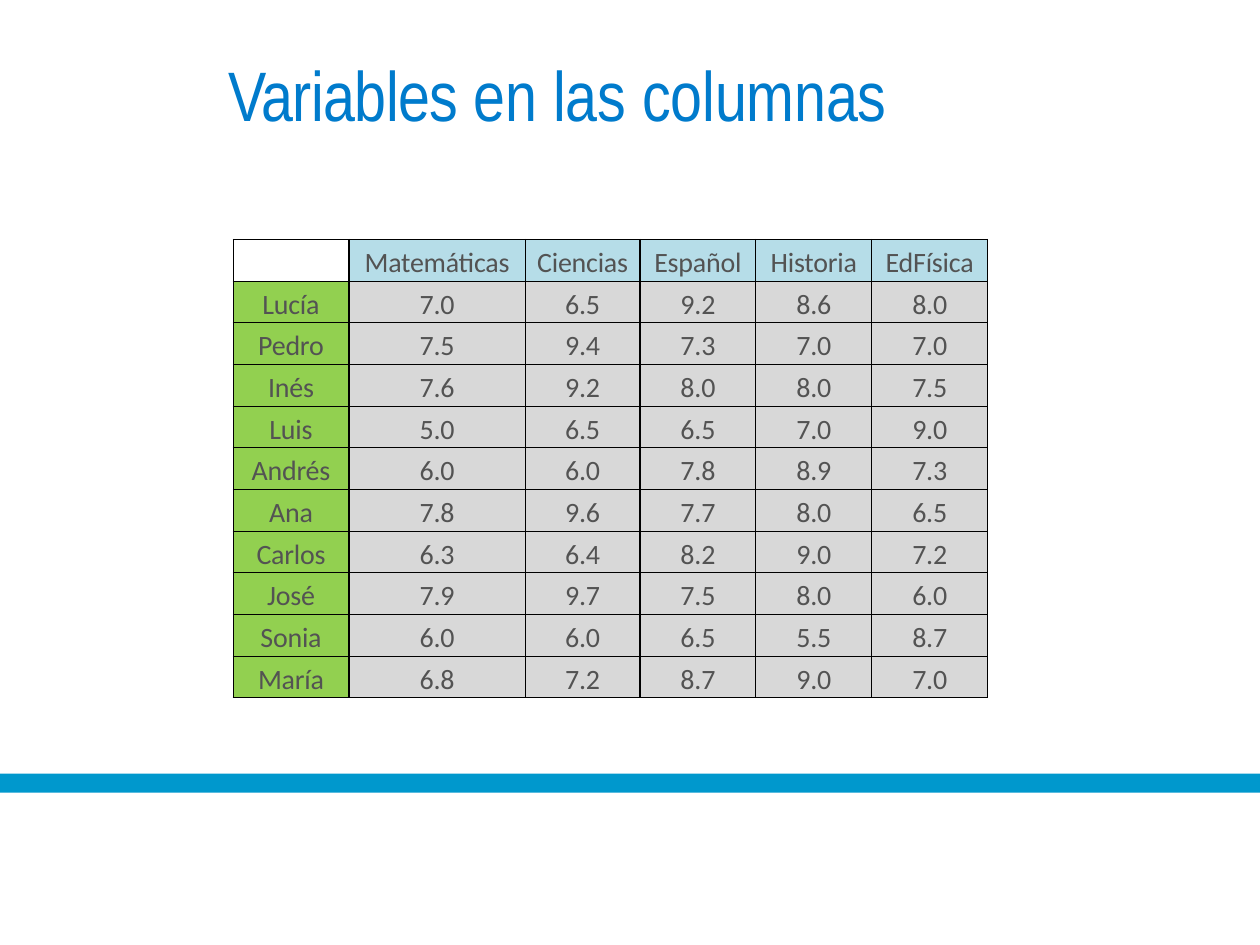
import lxml.etree
import pptx
import pptx.dml.color
import pptx.enum.shapes
import pptx.enum.text
import pptx.oxml.ns
import pptx.util

Inches = pptx.util.Inches
Pt = pptx.util.Pt
RGB = pptx.dml.color.RGBColor

BAND = RGB(0x00, 0x98, 0xCD)
TITLE = RGB(0x00, 0x7B, 0xCC)
TEXT = RGB(0x53, 0x53, 0x53)
HEAD = RGB(0xB6, 0xDD, 0xE8)
NAME = RGB(0x92, 0xD0, 0x50)
GRADE = RGB(0xD8, 0xD8, 0xD8)
BORDER = RGB(0x00, 0x00, 0x00)

WIDTHS = [0.92, 1.4, 0.91, 0.92, 0.92, 0.92]
ROWS = [
    ["", "Matemáticas", "Ciencias", "Español", "Historia", "EdFísica"],
    ["Lucía", "7.0", "6.5", "9.2", "8.6", "8.0"],
    ["Pedro", "7.5", "9.4", "7.3", "7.0", "7.0"],
    ["Inés", "7.6", "9.2", "8.0", "8.0", "7.5"],
    ["Luis", "5.0", "6.5", "6.5", "7.0", "9.0"],
    ["Andrés", "6.0", "6.0", "7.8", "8.9", "7.3"],
    ["Ana", "7.8", "9.6", "7.7", "8.0", "6.5"],
    ["Carlos", "6.3", "6.4", "8.2", "9.0", "7.2"],
    ["José", "7.9", "9.7", "7.5", "8.0", "6.0"],
    ["Sonia", "6.0", "6.0", "6.5", "5.5", "8.7"],
    ["María", "6.8", "7.2", "8.7", "9.0", "7.0"],
]


def add_run(para, text, font, size, color, space):
    """Add a run; space is the letter spacing in points."""
    run = para.add_run()
    run.text = text
    run.font.name = font
    run.font.size = Pt(size)
    run.font.color.rgb = color
    run.font._element.set("spc", str(round(space * 100)))


def add_band(slide):
    band = slide.shapes.add_shape(
        pptx.enum.shapes.MSO_SHAPE.RECTANGLE,
        Inches(0), Inches(6.14), Inches(10), Inches(0.15))
    band.shadow.inherit = False
    band.fill.solid()
    band.fill.fore_color.rgb = BAND
    band.line.fill.background()


def set_title(slide):
    title = slide.shapes.title
    title.left, title.top = Inches(1.81), Inches(0.36)
    title.width, title.height = Inches(6.39), Inches(0.76)
    frame = title.text_frame
    frame.margin_left = frame.margin_right = frame.margin_bottom = 0
    frame.margin_top = Inches(0.01)
    frame.vertical_anchor = pptx.enum.text.MSO_ANCHOR.MIDDLE
    frame.auto_size = pptx.enum.text.MSO_AUTO_SIZE.SHAPE_TO_FIT_TEXT
    para = frame.paragraphs[0]
    para.alignment = pptx.enum.text.PP_ALIGN.LEFT
    para.space_before = Pt(1)
    words = [("Variables ", -0.3), ("en ", -0.1), ("las ", 0), ("columnas", -0.1)]
    for word, space in words:
        add_run(para, word, "Arial Narrow", 40, TITLE, space)


def set_border(cell):
    props = cell._tc.get_or_add_tcPr()
    tag = pptx.oxml.ns.qn
    for side in ("a:lnL", "a:lnR", "a:lnT", "a:lnB"):
        line = lxml.etree.SubElement(props, tag(side), w=str(Pt(0.75)))
        fill = lxml.etree.SubElement(line, tag("a:solidFill"))
        lxml.etree.SubElement(fill, tag("a:srgbClr"), val=str(BORDER))


def set_cell(cell, text, color):
    cell.margin_left = cell.margin_right = cell.margin_bottom = 0
    cell.margin_top = Inches(0.05) if text else 0
    set_border(cell)
    if not text:
        cell.fill.background()
        return
    cell.fill.solid()
    cell.fill.fore_color.rgb = color
    para = cell.text_frame.paragraphs[0]
    para.alignment = pptx.enum.text.PP_ALIGN.CENTER
    para.space_before = Pt(3.5)
    add_run(para, text, "Calibri", 16, TEXT, -0.1)


def add_grades(slide):
    height = Inches(3.64)
    table = slide.shapes.add_table(
        len(ROWS), len(WIDTHS), Inches(1.85), Inches(1.9),
        Inches(sum(WIDTHS)), height).table
    table.first_row = table.horz_banding = False
    for column, width in zip(table.columns, WIDTHS):
        column.width = Inches(width)
    for i, row in enumerate(ROWS):
        table.rows[i].height = height // len(ROWS)
        for j, text in enumerate(row):
            color = HEAD if i == 0 else NAME if j == 0 else GRADE
            set_cell(table.cell(i, j), text, color)


def main():
    deck = pptx.Presentation()
    deck.slide_width, deck.slide_height = Inches(10), Inches(7.5)
    slide = deck.slides.add_slide(deck.slide_layouts.get_by_name("Title Only"))
    add_band(slide)
    set_title(slide)
    add_grades(slide)
    deck.save("out.pptx")


if __name__ == "__main__":
    main()
